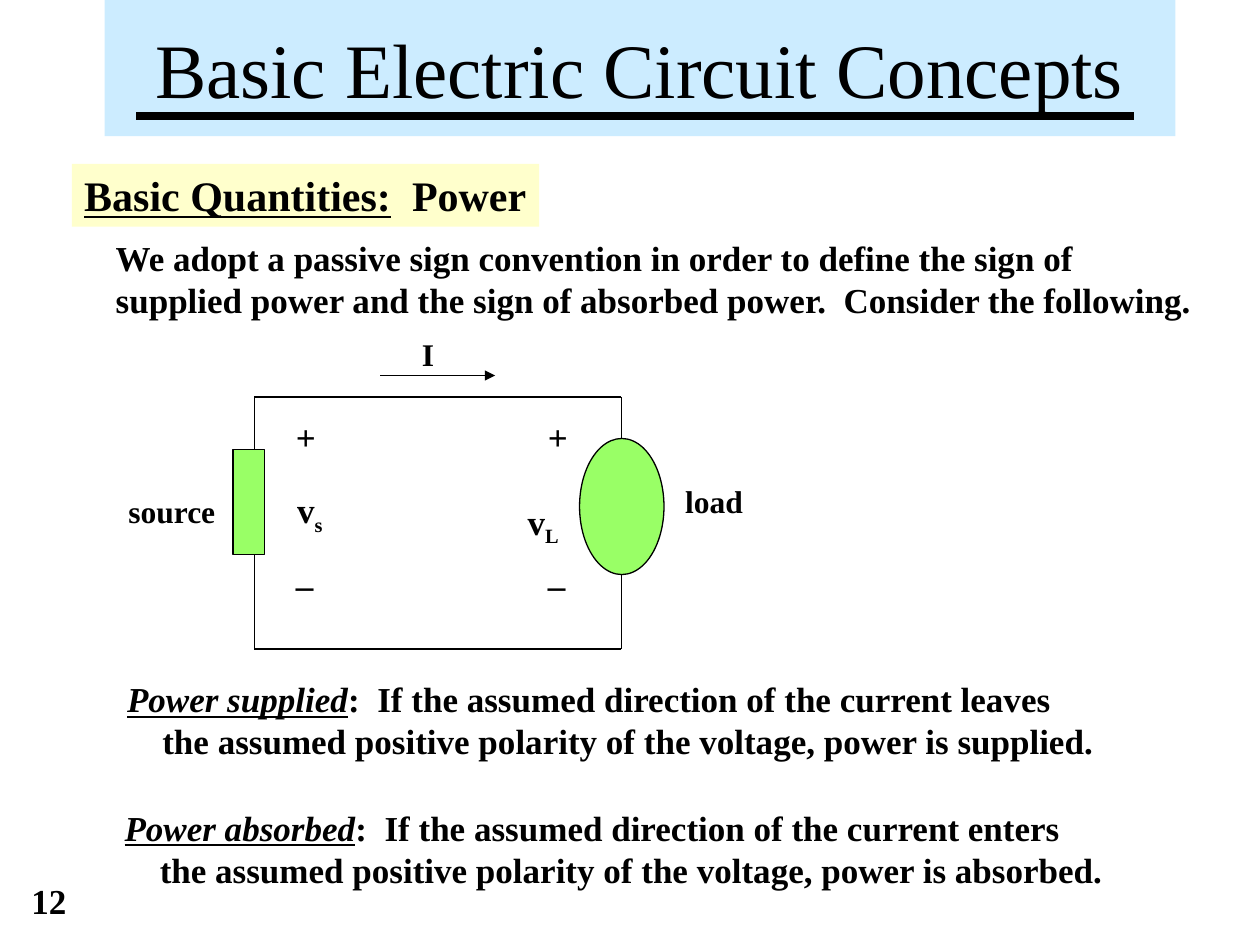
from lxml.etree import SubElement
from pptx import Presentation
from pptx.dml.color import RGBColor
from pptx.enum.shapes import MSO_CONNECTOR as Connector, MSO_SHAPE as Shape
from pptx.enum.text import MSO_ANCHOR as Anchor, MSO_AUTO_SIZE as AutoSize, PP_ALIGN as Align
from pptx.oxml.ns import qn
from pptx.util import Inches, Pt

BLACK = RGBColor(0x00, 0x00, 0x00)
SKY = RGBColor(0xCC, 0xEC, 0xFF)
CREAM = RGBColor(0xFF, 0xFF, 0xCC)
GREEN = RGBColor(0x99, 0xFF, 0x66)

deck = Presentation()
deck.slide_width, deck.slide_height = Inches(10), Inches(7.5)
page = deck.slides.add_slide(deck.slide_layouts[6])


def add_text(place, lines, size=20, fill=None, bold=True):
    box = page.shapes.add_textbox(*map(Inches, place))
    if fill is not None:
        box.fill.solid()
        box.fill.fore_color.rgb = fill
    frame = box.text_frame
    frame.word_wrap = False
    frame.auto_size = AutoSize.SHAPE_TO_FIT_TEXT
    for index, line in enumerate(lines):
        para = frame.add_paragraph() if index else frame.paragraphs[0]
        for text, style in line:
            span = para.add_run()
            span.text = text
            span.font.name = "Times New Roman"
            span.font.size = Pt(size)
            span.font.bold = bold
            span.font.color.rgb = BLACK
            if "underline" in style:
                span.font.underline = True
            if "italic" in style:
                span.font.italic = True
            if "subscript" in style:
                span._r.get_or_add_rPr().set("baseline", "-25000")
    return box


def add_line(start, end, width=0.75):
    line = page.shapes.add_connector(Connector.STRAIGHT, *map(Inches, start + end))
    line.line.color.rgb = BLACK
    line.line.width = Pt(width)
    SubElement(line._element.spPr, qn("a:effectLst"))
    return line


title = add_text((0.83, 0, 8.5, 1.08), [[("Basic Electric Circuit Concepts", "")]], 44, SKY, False)
title.text_frame.auto_size = AutoSize.NONE
title.text_frame.word_wrap = True
title.text_frame.vertical_anchor = Anchor.MIDDLE
title.text_frame.paragraphs[0].alignment = Align.CENTER
add_line((1.08, 0.92), (9, 0.92), 4.5)

add_text((0.57, 1.3, 3.71, 0.5), [[("Basic Quantities:", "underline"), ("  Power", "")]], 24, CREAM)
add_text((0.82, 1.83, 8.77, 0.77), [
    [("We adopt a passive sign convention in order to define the sign of", "")],
    [("supplied power and the sign of absorbed power.  Consider the following.", "")],
])

for kind, place in [
    (Shape.RECTANGLE, (1.85, 3.57, 0.25, 0.83)),
    (Shape.OVAL, (4.6, 3.48, 0.67, 1.08)),
]:
    part = page.shapes.add_shape(kind, *map(Inches, place))
    part.shadow.inherit = False
    part.fill.solid()
    part.fill.fore_color.rgb = GREEN
    part.line.color.rgb = BLACK
    part.line.width = Pt(0.75)

wire_left, wire_right = 2.02, 4.93
for wire_y, source_y, load_y in [(3.15, 3.57, 3.48), (5.15, 4.4, 4.56)]:
    add_line((wire_left, source_y), (wire_left, wire_y))
    add_line((wire_left, wire_y), (wire_right, wire_y))
    add_line((wire_right, wire_y), (wire_right, load_y))

current = add_line((3.02, 2.98), (3.93, 2.98))
SubElement(current.line._get_or_add_ln(), qn("a:tailEnd"), type="triangle")

for label, place in [
    ("load", (5.34, 3.78, 0.66, 0.4)),
    ("source", (0.92, 3.86, 0.89, 0.4)),
    ("I", (3.25, 2.61, 0.29, 0.4)),
]:
    add_text(place, [[(label, "")]], 18)

for sign_left, letter, place in [
    (2.25, "s", (2.26, 3.83, 0.42, 0.48)),
    (4.25, "L", (4.09, 3.92, 0.47, 0.48)),
]:
    add_text((sign_left, 3.25, 0.36, 0.44), [[("+", "")]])
    add_text((sign_left, 4.33, 0.34, 0.44), [[("_", "")]])
    add_text(place, [[("v", ""), (letter, "subscript")]])

for verb, motion, place in [
    ("supplied", "leaves", (0.91, 5.33, 7.88, 0.77)),
    ("absorbed", "enters", (0.89, 6.35, 7.97, 0.77)),
]:
    rule = add_text(place, [
        [(f"Power {verb}", "italic underline"),
         (f":  If the assumed direction of the current {motion}", "")],
        [(f"the assumed positive polarity of the voltage, power is {verb}.", "")],
    ])
    second = rule.text_frame.paragraphs[1]
    second._p.get_or_add_pPr().set("marL", str(Inches(0.28)))

add_text((0.15, 6.93, 0.48, 0.44), [[("12", "")]])

deck.save("out.pptx")
